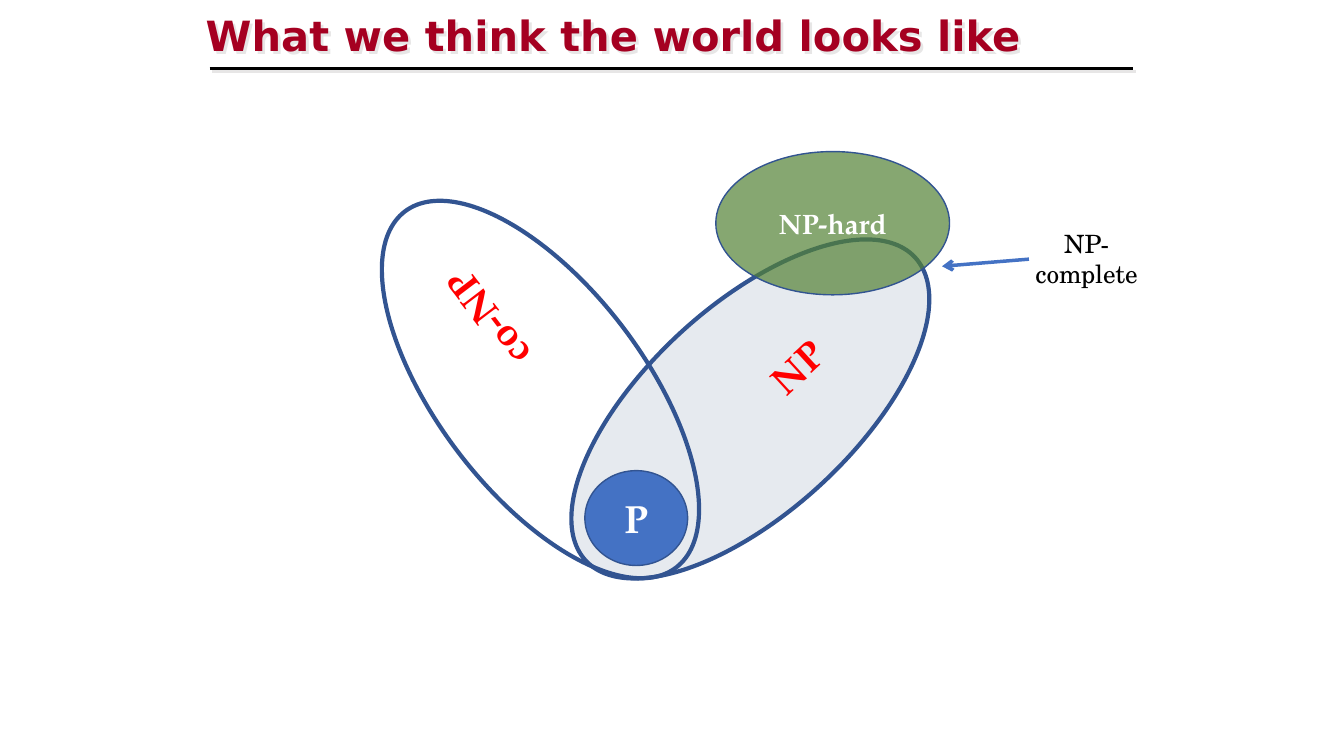
from lxml import etree
from pptx import Presentation
from pptx.dml.color import RGBColor
from pptx.enum.shapes import MSO_CONNECTOR, MSO_SHAPE
from pptx.enum.text import MSO_ANCHOR, PP_ALIGN
from pptx.oxml.ns import qn
from pptx.util import Cm, Pt

STRAIGHT = MSO_CONNECTOR.STRAIGHT
OVAL = MSO_SHAPE.OVAL
MIDDLE = MSO_ANCHOR.MIDDLE
CENTER, LEFT = PP_ALIGN.CENTER, PP_ALIGN.LEFT

CRIMSON = RGBColor(0xA5, 0x00, 0x21)
RED = RGBColor(0xFF, 0x00, 0x00)
BLACK = RGBColor(0x00, 0x00, 0x00)
WHITE = RGBColor(0xFF, 0xFF, 0xFF)
PALE_BLUE = RGBColor(0xD6, 0xDC, 0xE5)
BLUE = RGBColor(0x44, 0x72, 0xC4)
DARK_BLUE = RGBColor(0x32, 0x54, 0x91)
GREEN = RGBColor(0x54, 0x82, 0x35)
SHADOW_GRAY = RGBColor(0xE7, 0xE6, 0xE6)


def add_effects(shape, shadowed):
    """Append an effect list, either empty or with a diagonal gray shadow."""
    effects = etree.SubElement(shape._element.spPr, qn("a:effectLst"))
    if shadowed:
        shadow = etree.SubElement(effects, qn("a:outerShdw"), dist="35921",
                                  dir="2700000", algn="ctr", rotWithShape="0")
        etree.SubElement(shadow, qn("a:srgbClr"), val=str(SHADOW_GRAY))


def add_line(start, end, color, width, shadowed):
    line = slide.shapes.add_connector(
        STRAIGHT, *(Cm(value) for value in start + end))
    line.line.color.rgb = color
    line.line.width = Pt(width)
    add_effects(line, shadowed)
    return line


presentation = Presentation()
presentation.slide_width = Cm(33.87)
presentation.slide_height = Cm(19.05)
slide = presentation.slides.add_slide(presentation.slide_layouts[5])

# Title and rule
title = slide.shapes.title
title.left, title.top, title.width, title.height = Cm(4.93), Cm(0.03), Cm(21.59), Cm(1.7)
title.fill.background()
add_effects(title, True)
title.text_frame.text = "What we think the world looks like"
title.text_frame.vertical_anchor = MIDDLE
title_paragraph = title.text_frame.paragraphs[0]
title_paragraph.alignment = LEFT
title_font = title_paragraph.runs[0].font
title_font.name = "DejaVu Sans"
title_font.size = Pt(29.7)
title_font.bold = True
title_font.color.rgb = CRIMSON

add_line((5.28, 1.73), (28.55, 1.73), BLACK, 2.25, True)

# Complexity classes: name, box, rotation, fill, opacity, line width,
# text size, text color, left inset that moves the name off centre
classes = [
    ("NP", (13.27, 7.7, 11.28, 5.21), 317.4, PALE_BLUE, 60, 3, 28, RED, 3.17),
    ("P", (14.74, 11.86, 2.59, 2.39), 0, BLUE, 100, 1, 28, WHITE, 0),
    ("co-NP", (7.98, 7.21, 11.28, 5.21), 232.7, None, 100, 3, 28, RED, 4.45),
    ("NP-hard", (18.04, 3.82, 5.89, 3.61), 0, GREEN, 70, 1, 20, WHITE, 0),
]
for name, box, rotation, fill, opacity, line_width, size, color, inset in classes:
    ellipse = slide.shapes.add_shape(OVAL, *(Cm(value) for value in box))
    ellipse.rotation = rotation
    ellipse.shadow.inherit = False
    ellipse.line.color.rgb = DARK_BLUE
    ellipse.line.width = Pt(line_width)
    if fill is None:
        ellipse.fill.background()
    else:
        ellipse.fill.solid()
        ellipse.fill.fore_color.rgb = fill
        if opacity < 100:
            fill_color = ellipse._element.spPr.find(qn("a:solidFill"))[0]
            etree.SubElement(fill_color, qn("a:alpha"), val=str(opacity * 1000))
    text_frame = ellipse.text_frame
    text_frame.text = name
    text_frame.vertical_anchor = MIDDLE
    text_frame.margin_left, text_frame.margin_right = Cm(inset), Cm(0)
    paragraph = text_frame.paragraphs[0]
    paragraph.alignment = CENTER
    font = paragraph.runs[0].font
    font.name = "TeX Gyre Pagella"
    font.size = Pt(size)
    font.bold = True
    font.color.rgb = color

# Label and arrow for the overlap
label = slide.shapes.add_textbox(Cm(25.53), Cm(5.63), Cm(3.71), Cm(1.8))
label.text_frame.word_wrap = True
label.text_frame.text = "NP-complete"
label_paragraph = label.text_frame.paragraphs[0]
label_paragraph.alignment = CENTER
label_font = label_paragraph.runs[0].font
label_font.name = "TeX Gyre Schola"
label_font.size = Pt(18)
label_font.color.rgb = BLACK

arrow = add_line((25.93, 6.53), (23.74, 6.71), BLUE, 2.5, False)
etree.SubElement(arrow.line._get_or_add_ln(), qn("a:tailEnd"), type="arrow")

presentation.save("out.pptx")
